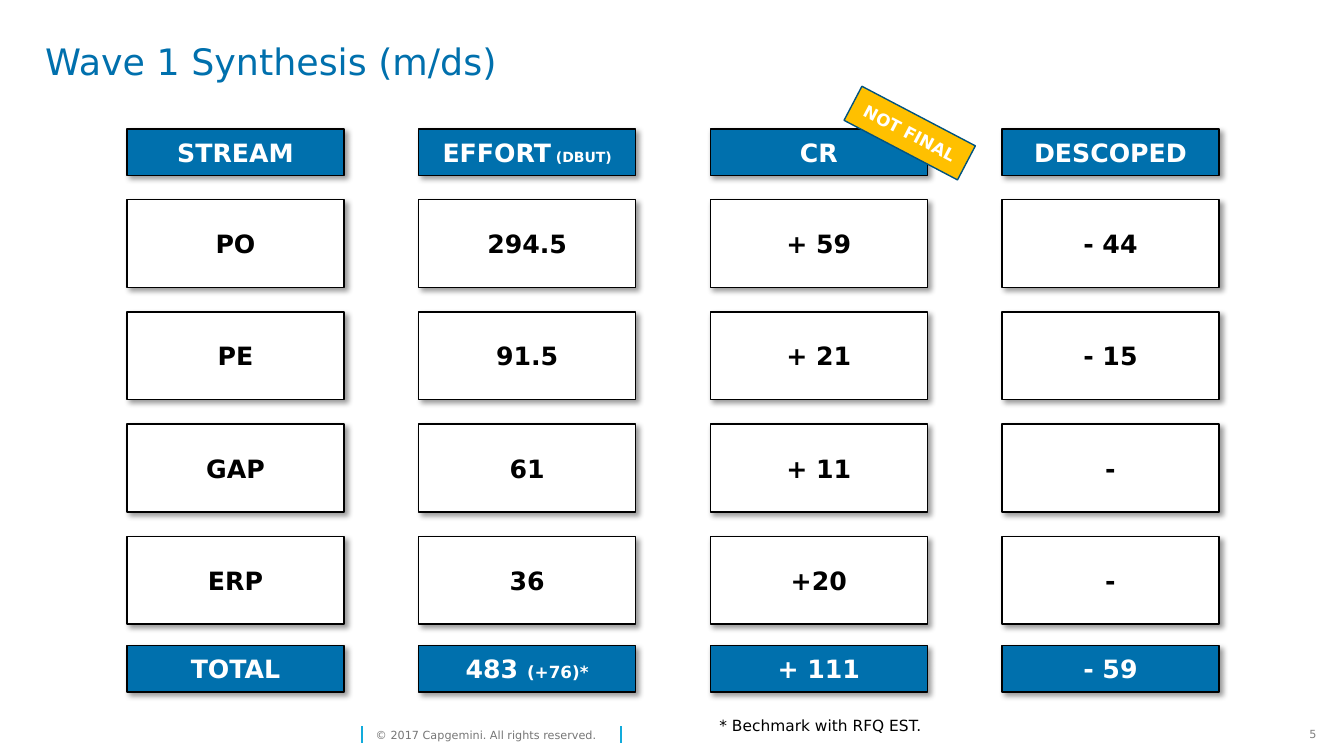
import pptx
import pptx.util
import pptx.dml.color
import pptx.enum.shapes
import pptx.enum.text
import pptx.oxml
import pptx.oxml.ns

Cm = pptx.util.Cm
Pt = pptx.util.Pt
RGBColor = pptx.dml.color.RGBColor
Align = pptx.enum.text.PP_ALIGN
Anchor = pptx.enum.text.MSO_ANCHOR
RECTANGLE = pptx.enum.shapes.MSO_SHAPE.RECTANGLE

FONT = "DejaVu Sans"
BLUE = RGBColor(0x00, 0x70, 0xAD)
DARK_BLUE = RGBColor(0x00, 0x53, 0x80)
CYAN = RGBColor(0x12, 0xAB, 0xDB)
AMBER = RGBColor(0xFF, 0xC0, 0x00)
WHITE = RGBColor(0xFF, 0xFF, 0xFF)
BLACK = RGBColor(0x00, 0x00, 0x00)
GREY = RGBColor(0x80, 0x80, 0x80)
FOOTER_GREY = RGBColor(0x76, 0x76, 0x76)

SHADOW = (
    f'<a:outerShdw {pptx.oxml.ns.nsdecls("a")} blurRad="50800" dist="38100" '
    'dir="2700000" algn="tl" rotWithShape="0"><a:srgbClr val="000000">'
    '<a:alpha val="40000"/></a:srgbClr></a:outerShdw>'
)


def write(box, spans, color, bold=False, align=Align.LEFT, anchor=Anchor.TOP, wrap=True, inset=True):
    """Fill the box with one paragraph made of (text, size) spans."""
    frame = box.text_frame
    frame.word_wrap = wrap
    frame.vertical_anchor = anchor
    if not inset:
        frame.margin_left = frame.margin_right = frame.margin_top = frame.margin_bottom = 0
    para = frame.paragraphs[0]
    para.alignment = align
    for text, size in spans:
        span = para.add_run()
        span.text = text
        span.font.name = FONT
        span.font.size = Pt(size)
        span.font.bold = bold
        span.font.color.rgb = color
    return para


def add_box(left, top, width, height, fill, line, spans, color):
    box = page.shapes.add_shape(RECTANGLE, Cm(left), Cm(top), Cm(width), Cm(height))
    box.shadow.inherit = False
    box.fill.solid()
    box.fill.fore_color.rgb = fill
    box.line.color.rgb = line
    box.line.width = Pt(1)
    write(box, spans, color, bold=True, align=Align.CENTER, anchor=Anchor.MIDDLE)
    return box


deck = pptx.Presentation()
deck.slide_width = Cm(33.87)
deck.slide_height = Cm(19.05)
page = deck.slides.add_slide(deck.slide_layouts[6])

# Footer
number = page.shapes.add_textbox(Cm(32.74), Cm(18.21), Cm(0.69), Cm(0.61))
write(number, [("5", 8)], GREY, align=Align.RIGHT, wrap=False)
rights = page.shapes.add_textbox(Cm(9.47), Cm(18.21), Cm(6.17), Cm(0.61))
write(rights, [("© 2017 Capgemini. All rights reserved.", 8)], FOOTER_GREY,
      anchor=Anchor.MIDDLE, wrap=False, inset=False)
for x in (9.12, 15.65):
    bar = page.shapes.add_connector(pptx.enum.shapes.MSO_CONNECTOR.STRAIGHT,
                                    Cm(x), Cm(18.72), Cm(x), Cm(18.29))
    bar.line.color.rgb = CYAN
    bar.line.width = Pt(1)
    bar._element.spPr.append(pptx.oxml.parse_xml(f'<a:effectLst {pptx.oxml.ns.nsdecls("a")}/>'))

# Title
title = page.shapes.add_textbox(Cm(1.14), Cm(1.12), Cm(30.4), Cm(1.45))
write(title, [("Wave 1 Synthesis (m/ds)", 26)], BLUE, inset=False).line_spacing = 0.9

# Grid of boxes: heading, four streams, total
HEADINGS = [[("STREAM", 18)], [("EFFORT", 18), (" (DBUT)", 10)], [("CR", 18)], [("DESCOPED", 18)]]
STREAMS = [
    ("PO", "294.5", "+ 59", "- 44"),
    ("PE", "91.5", "+ 21", "- 15"),
    ("GAP", "61", "+ 11", "-"),
    ("ERP", "36", "+20", "-"),
]
TOTALS = [[("TOTAL", 18)], [("483 ", 18), ("(+76)*", 12)], [("+ 111", 18)], [("- 59", 18)]]

rows = [(3.25, 1.17, BLUE, WHITE, HEADINGS)]
for index, stream in enumerate(STREAMS):
    rows.append((5.03 + 2.83 * index, 2.21, WHITE, BLACK, [[(text, 18)] for text in stream]))
rows.append((16.27, 1.17, BLUE, WHITE, TOTALS))

for top, height, fill, color, cells in rows:
    for column, spans in enumerate(cells):
        box = add_box(3.2 + 7.35 * column, top, 5.47, height, fill, BLACK, spans, color)
        effects = box._element.spPr.find(pptx.oxml.ns.qn("a:effectLst"))
        effects.append(pptx.oxml.parse_xml(SHADOW))

# Sticker and footnote
sticker = add_box(21.31, 2.87, 3.23, 0.97, AMBER, DARK_BLUE, [("NOT FINAL", 12)], WHITE)
sticker.rotation = 27.7
footnote = page.shapes.add_textbox(Cm(17.88), Cm(17.93), Cm(5.82), Cm(0.74))
write(footnote, [("* Bechmark with RFQ EST.", 11)], BLACK, wrap=False)

deck.save("out.pptx")
